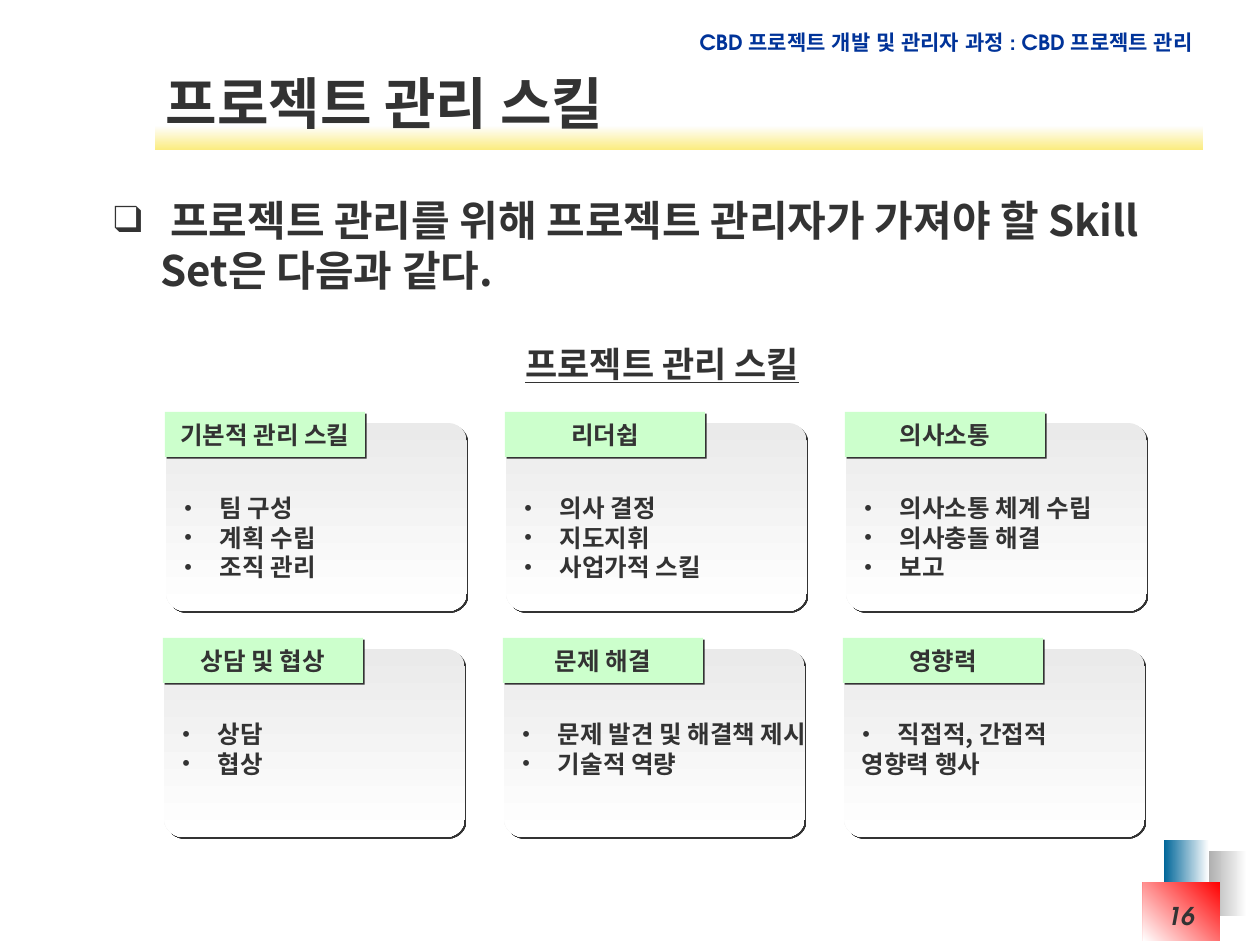
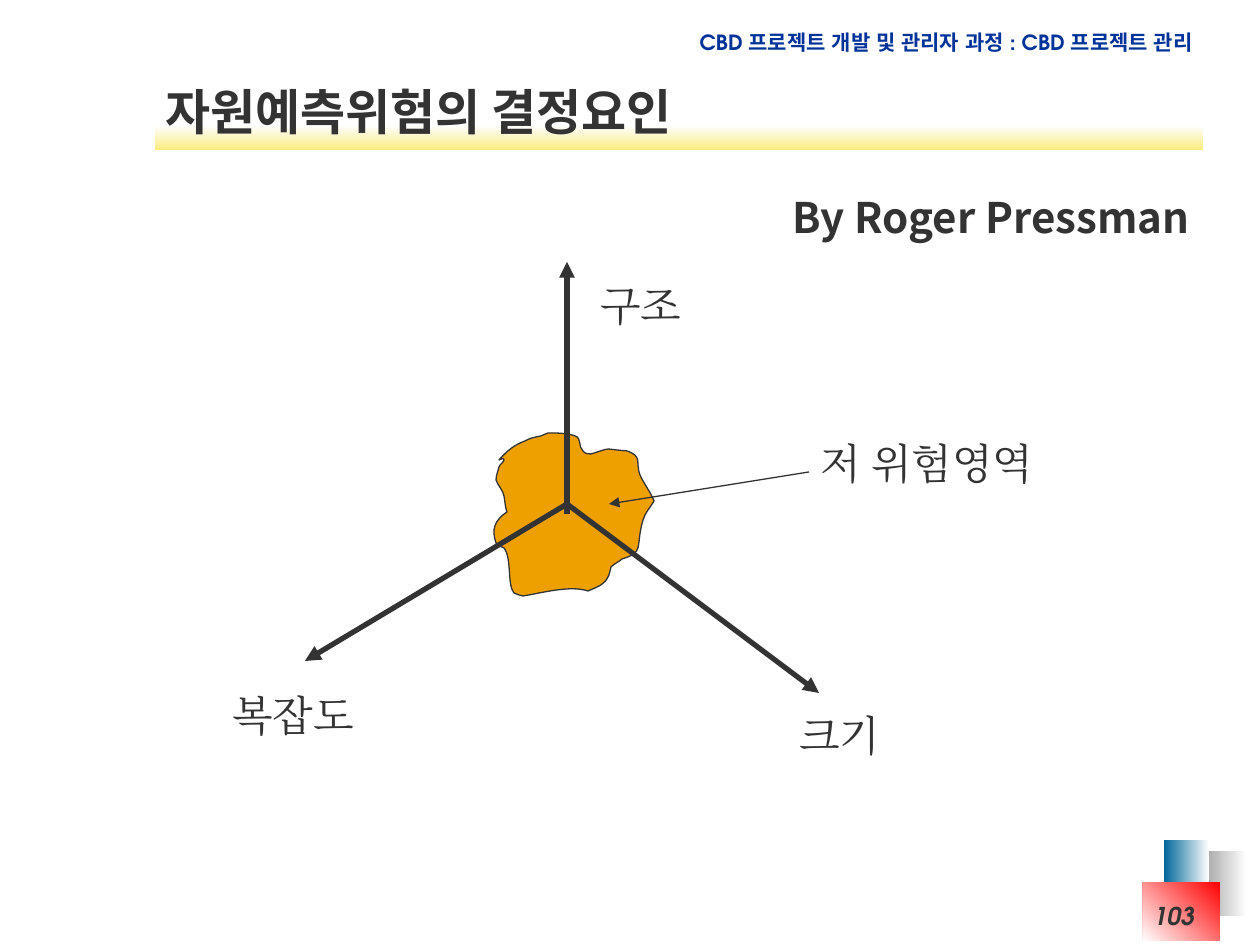
from lxml import etree
from pptx import Presentation
from pptx.dml.color import RGBColor
from pptx.enum.shapes import MSO_CONNECTOR, MSO_SHAPE
from pptx.enum.text import MSO_ANCHOR, MSO_AUTO_SIZE, PP_ALIGN
from pptx.oxml.ns import qn
from pptx.util import Emu, Pt

PX = 914400 / 126  # EMU per px
WIDTH, HEIGHT = 1260, 945

INK = RGBColor(0x33, 0x33, 0x33)
NAVY = RGBColor(0x00, 0x33, 0x99)
WHITE = RGBColor(0xFF, 0xFF, 0xFF)
SILVER = RGBColor(0x96, 0x96, 0x96)
TEAL = RGBColor(0x00, 0x66, 0x99)
RED = RGBColor(0xFF, 0x00, 0x00)
NEAR_WHITE = RGBColor(0xFE, 0xFE, 0xFE)
YELLOW = RGBColor(0xFB, 0xEC, 0x7F)
CARD_GREY = RGBColor(0xEA, 0xEA, 0xEA)
MINT = RGBColor(0xCC, 0xFF, 0xCC)
AMBER = RGBColor(0xEF, 0xA0, 0x01)

KOREAN = "Noto Sans CJK KR"
GEOMETRIC = "TeX Gyre Adventor"
SERIF = "Times New Roman"

COURSE = "CBD 프로젝트 개발 및 관리자 과정 : CBD 프로젝트 관리"

# heading, bulleted skills, closing line without bullet
SKILLS = [
    ("기본적 관리 스킬", ["팀 구성", "계획 수립", "조직 관리"], None),
    ("리더쉽", ["의사 결정", "지도지휘", "사업가적 스킬"], None),
    ("의사소통", ["의사소통 체계 수립", "의사충돌 해결", "보고"], None),
    ("상담 및 협상", ["상담", "협상"], None),
    ("문제 해결", ["문제 발견 및 해결책 제시", "기술적 역량"], None),
    ("영향력", ["직접적, 간접적"], "영향력 행사"),
]

# Low-risk area: start point, then Bezier curves (two controls and an end)
AREA_START = (499, 460)
AREA_CURVES = [
    ((507, 451), (514, 445), (525, 441)),
    ((530, 438), (536, 437), (541, 436)),
    ((543, 435), (548, 433), (548, 433)),
    ((557, 433), (567, 433), (575, 436)),
    ((582, 438), (578, 447), (583, 451)),
    ((585, 454), (588, 454), (591, 454)),
    ((614, 447), (601, 449), (627, 451)),
    ((643, 457), (635, 461), (640, 475)),
    ((644, 484), (650, 491), (654, 501)),
    ((650, 508), (645, 513), (643, 520)),
    ((635, 548), (645, 552), (622, 559)),
    ((619, 562), (615, 563), (611, 567)),
    ((610, 570), (610, 572), (609, 575)),
    ((605, 585), (597, 587), (588, 591)),
    ((570, 585), (542, 593), (523, 596)),
    ((520, 595), (517, 595), (514, 593)),
    ((507, 585), (512, 558), (504, 548)),
    ((501, 547), (499, 546), (496, 543)),
    ((491, 529), (495, 520), (507, 512)),
    ((505, 507), (505, 501), (504, 496)),
    ((503, 490), (498, 486), (496, 480)),
    ((496, 476), (498, 471), (499, 467)),
    ((500, 464), (504, 462), (504, 460)),
    ((504, 457), (500, 460), (499, 460)),
]


def px(*lengths):
    return [Emu(round(length * PX)) for length in lengths]


def add_xml(parent, tag, **attributes):
    return etree.SubElement(parent, qn(tag), attributes)


def style(paragraph, size, font=KOREAN, color=INK, bold=True, italic=False,
          underline=False, align=PP_ALIGN.LEFT):
    paragraph.alignment = align
    for run in paragraph.runs:
        run.font.size = Pt(size)
        run.font.name = font
        run.font.bold = bold
        run.font.italic = italic
        run.font.underline = underline
        run.font.color.rgb = color
        add_xml(run.font._element, "a:ea", typeface=font)


def add_bullet(paragraph, char, margin, indent, percent=100):
    props = paragraph._p.get_or_add_pPr()
    left, hang = px(margin, indent)
    props.set("marL", str(left))
    props.set("indent", str(-hang))
    color = add_xml(props, "a:buClr")
    add_xml(color, "a:srgbClr", val=str(INK))
    add_xml(props, "a:buSzPct", val=str(percent * 1000))
    add_xml(props, "a:buFont", typeface=SERIF)
    add_xml(props, "a:buChar", char=char)


def add_text(slide, text, box, size, wrap=True, **looks):
    frame = slide.shapes.add_textbox(*px(*box)).text_frame
    frame.word_wrap = wrap
    frame.text = text
    style(frame.paragraphs[0], size, **looks)


def fill_placeholder(slide, holder, text, box, size):
    """Fill a placeholder and bring it in front of the band."""
    slide.shapes._spTree.append(holder._element)
    holder.left, holder.top, holder.width, holder.height = px(*box)
    frame = holder.text_frame
    frame.auto_size = MSO_AUTO_SIZE.NONE
    frame.text = text
    paragraph = frame.paragraphs[0]
    paragraph.space_before = Pt(0)
    style(paragraph, size)
    return paragraph


def add_block(slide, preset, box):
    block = slide.shapes.add_shape(preset, *px(*box))
    block.shadow.inherit = False
    block.line.fill.background()
    return block


def set_gradient(shape, start, end, angle):
    """Angle runs clockwise from left-to-right."""
    shape.fill.gradient()
    shape.fill.gradient_angle = 360 - angle
    for stop, color in zip(shape.fill.gradient_stops, (start, end)):
        stop.color.rgb = color


def add_hard_shadow(shape):
    effects = shape._element.spPr.find(qn("a:effectLst"))
    shadow = add_xml(effects, "a:outerShdw", blurRad="0", dist=str(Pt(1.4)),
                     dir="2700000", algn="ctr", rotWithShape="0")
    add_xml(shadow, "a:srgbClr", val=str(INK))


def add_arrow(slide, start, end, width):
    arrow = slide.shapes.add_connector(MSO_CONNECTOR.STRAIGHT, *px(*start, *end))
    arrow.line.color.rgb = INK
    arrow.line.width = Pt(width)
    props = arrow._element.spPr
    add_xml(props.find(qn("a:ln")), "a:tailEnd", type="triangle")
    add_xml(props, "a:effectLst")


def add_slide(deck, layout, title, title_top, title_size, number):
    slide = deck.slides.add_slide(deck.slide_layouts[layout])
    # Corner blocks and title band
    for box, start, end, angle in [
        ((1197, 851, 50, 65), WHITE, SILVER, 180),
        ((1164, 840, 45, 65), WHITE, TEAL, 180),
        ((1143, 882, 77, 59), RED, WHITE, 135),
        ((155, 126, 1048, 24), NEAR_WHITE, YELLOW, 90),
    ]:
        set_gradient(add_block(slide, MSO_SHAPE.RECTANGLE, box), start, end, angle)
    # Course name, title and page number
    add_text(slide, COURSE, (681, 23, 524, 38), 12, font=GEOMETRIC, color=NAVY,
             align=PP_ALIGN.RIGHT)
    heading = slide.shapes.title
    fill_placeholder(slide, heading, title, (153, title_top, 1048, 77), title_size)
    heading.text_frame.vertical_anchor = MSO_ANCHOR.MIDDLE
    add_text(slide, str(number), (1052, 895, 155, 50), 14, font=GEOMETRIC,
             italic=True, align=PP_ALIGN.RIGHT)
    return slide


def add_skill_card(slide, left, top, heading, skills, closing):
    card = add_block(slide, MSO_SHAPE.ROUNDED_RECTANGLE, (left, top, 301, 188))
    card.adjustments[0] = 0.1
    set_gradient(card, CARD_GREY, WHITE, 90)
    add_hard_shadow(card)
    frame = card.text_frame
    frame.word_wrap = False
    frame.vertical_anchor = MSO_ANCHOR.TOP
    frame.margin_top, = px(65)
    frame.text = "\n".join(skills + ([closing] if closing else []))
    for index, paragraph in enumerate(frame.paragraphs):
        if index < len(skills):
            add_bullet(paragraph, "•", 36, 36)
        style(paragraph, 14)

    tab = add_block(slide, MSO_SHAPE.RECTANGLE, (left - 1, top - 11, 200, 45))
    tab.fill.solid()
    tab.fill.fore_color.rgb = MINT
    add_hard_shadow(tab)
    tab.text_frame.word_wrap = False
    tab.text_frame.vertical_anchor = MSO_ANCHOR.MIDDLE
    tab.text_frame.text = heading
    style(tab.text_frame.paragraphs[0], 14, align=PP_ALIGN.CENTER)


def add_low_risk_area(slide):
    builder = slide.shapes.build_freeform(*px(*AREA_START))
    builder.add_line_segments([px(*end) for _, _, end in AREA_CURVES], close=True)
    area = builder.convert_to_shape()
    # Turn each straight segment into its curve
    segments = list(area._element.iter(qn("a:lnTo")))
    for segment, (first, second, _) in zip(segments, AREA_CURVES):
        segment.tag = qn("a:cubicBezTo")
        for place, control in enumerate((first, second)):
            x, y = px(*control)
            point = add_xml(segment, "a:pt", x=str(x - area.left), y=str(y - area.top))
            segment.insert(place, point)
    area.shadow.inherit = False
    area.fill.solid()
    area.fill.fore_color.rgb = AMBER
    area.line.color.rgb = INK
    area.line.width = Pt(0.75)


def build_skills(deck):
    slide = add_slide(deck, 1, "프로젝트 관리 스킬", 64, 32, 16)
    intro = fill_placeholder(
        slide, slide.placeholders[1],
        " 프로젝트 관리를 위해 프로젝트 관리자가 가져야 할 Skill Set은 다음과 같다.",
        (88, 188, 1115, 694), 24)
    add_bullet(intro, "❑", 60, 47, 90)
    for index, skill in enumerate(SKILLS):
        row, column = divmod(index, 3)
        add_skill_card(slide, 166 + 340 * column - 2 * row, 423 + 226 * row, *skill)
    add_text(slide, "프로젝트 관리 스킬", (513, 336, 299, 55), 20, wrap=False,
             underline=True)


def build_risk_factors(deck):
    slide = add_slide(deck, 5, "자원예측위험의 결정요인", 72, 28, 103)
    add_low_risk_area(slide)
    # Three axes and the pointer to the area
    add_arrow(slide, (567, 514), (567, 262), 3)
    add_arrow(slide, (567, 504), (305, 661), 3)
    add_arrow(slide, (567, 504), (819, 693), 3)
    add_arrow(slide, (809, 472), (609, 504), 0.75)
    for label, left, top, width in [
        ("구조", 588, 273, 136),
        ("복잡도", 220, 683, 189),
        ("크기", 787, 703, 179),
        ("저 위험영역", 808, 431, 252),
    ]:
        add_text(slide, label, (left, top, width, 63), 24, font=SERIF, bold=False)
    add_text(slide, "By Roger Pressman", (776, 185, 430, 63), 24, wrap=False,
             align=PP_ALIGN.CENTER)


def main():
    deck = Presentation()
    deck.slide_width, deck.slide_height = px(WIDTH, HEIGHT)
    build_skills(deck)
    build_risk_factors(deck)
    deck.save("out.pptx")


if __name__ == "__main__":
    main()
